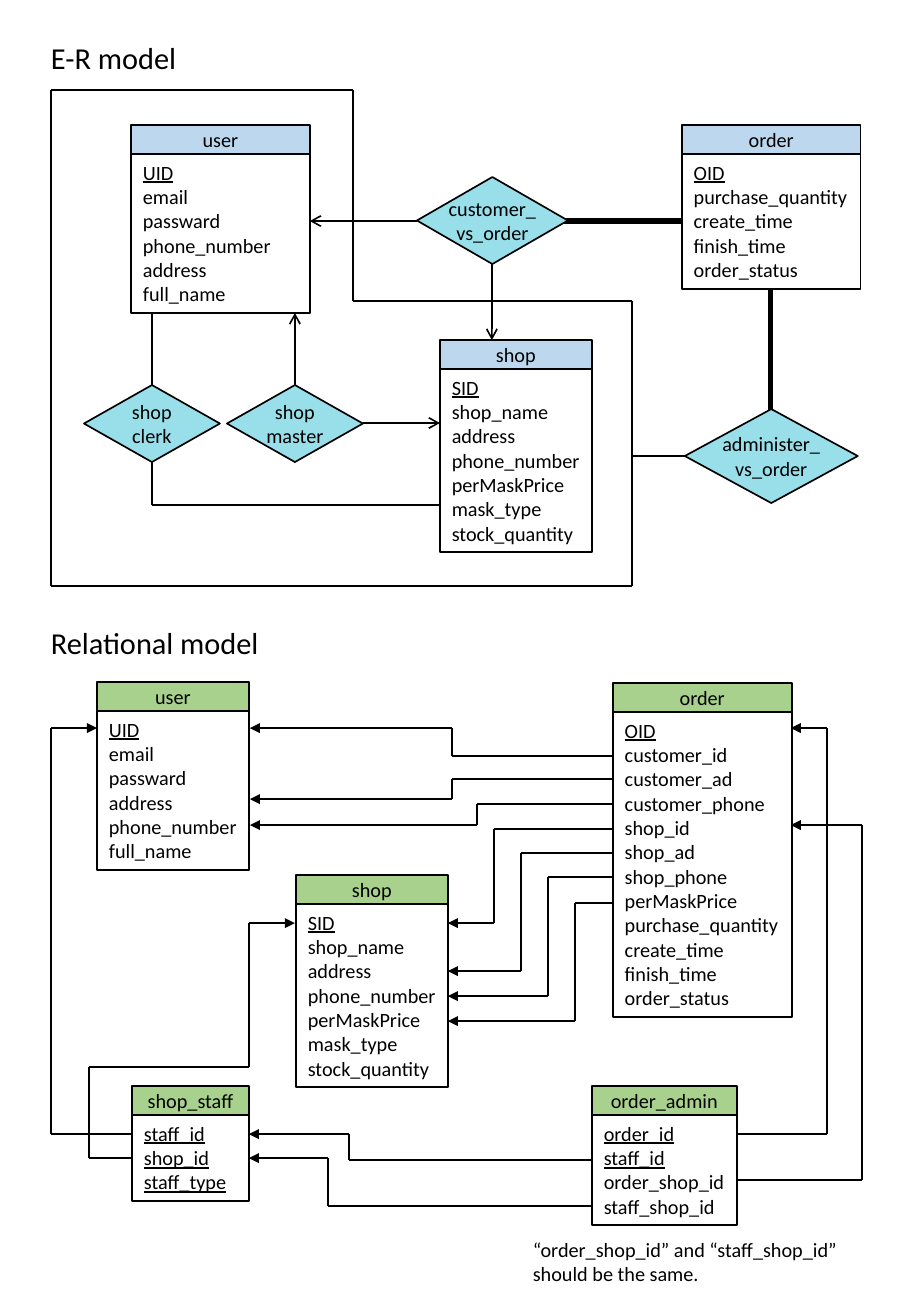
import pptx
import pptx.util
import pptx.dml.color
import pptx.enum.shapes
import pptx.enum.text
import pptx.oxml.ns
import lxml.etree
import itertools

SCALE = 914400 / 121.5
FONT = "Calibri"
BLACK, WHITE = "000000", "FFFFFF"
BLUE, GREEN, AQUA = "BDD7EE", "A9D18E", "98DFEA"
HEAD = 29
KIND = pptx.enum.shapes.MSO_SHAPE
ALIGN = pptx.enum.text.PP_ALIGN
ANCHOR = pptx.enum.text.MSO_ANCHOR


def px(count):
    return pptx.util.Emu(round(count * SCALE))


def tint(code):
    return pptx.dml.color.RGBColor.from_string(code)


def write(shape, lines, size=12, align=ALIGN.LEFT, anchor=ANCHOR.TOP, wrap=True, keys=0, grow=False):
    frame = shape.text_frame
    frame.word_wrap = wrap
    frame.vertical_anchor = anchor
    if grow:
        frame.auto_size = pptx.enum.text.MSO_AUTO_SIZE.SHAPE_TO_FIT_TEXT
    frame.text = "\n".join(lines)
    for row, para in enumerate(frame.paragraphs):
        para.alignment = align
        for run in para.runs:
            font = run.font
            font.name, font.size = FONT, pptx.util.Pt(size)
            font.color.rgb = tint(BLACK)
            if row < keys:
                font.underline = True


class Board:
    def __init__(self, slide, left, top):
        self.shapes, self.left, self.top = slide.shapes, left, top

    def spot(self, x, y):
        return px(self.left + x), px(self.top + y)

    def form(self, kind, x, y, width, height, fill):
        shape = self.shapes.add_shape(kind, *self.spot(x, y), px(width), px(height))
        shape.shadow.inherit = False
        shape.fill.solid()
        shape.fill.fore_color.rgb = tint(fill)
        shape.line.color.rgb = tint(BLACK)
        shape.line.width = pptx.util.Pt(1)
        return shape

    def card(self, x, y, width, fill, name, fields, keys=1):
        rows = fields.split()
        head = self.form(KIND.RECTANGLE, x, y, width, HEAD, fill)
        write(head, [name], align=ALIGN.CENTER, anchor=ANCHOR.MIDDLE)
        body = self.form(KIND.RECTANGLE, x, y + HEAD, width, len(rows) * 122 // 5 + 13, WHITE)
        write(body, rows, keys=keys)

    def diamond(self, x, y, width, height, label):
        shape = self.form(KIND.DIAMOND, x, y, width, height, AQUA)
        write(shape, [label], align=ALIGN.CENTER, anchor=ANCHOR.MIDDLE, wrap=False)

    def note(self, x, y, width, height, lines, size):
        text = self.shapes.add_textbox(*self.spot(x, y), px(width), px(height))
        write(text, lines, size=size, wrap=False, grow=True)

    def wire(self, *points, tip=None, weight=1):
        for start, end in itertools.pairwise(points):
            line = self.shapes.add_connector(
                pptx.enum.shapes.MSO_CONNECTOR.STRAIGHT, *self.spot(*start), *self.spot(*end))
            line.line.color.rgb = tint(BLACK)
            line.line.width = pptx.util.Pt(weight)
            props = line._element.spPr
            lxml.etree.SubElement(props, pptx.oxml.ns.qn("a:effectLst"))
            if tip and end == points[-1]:
                lxml.etree.SubElement(line.line._get_or_add_ln(), pptx.oxml.ns.qn("a:tailEnd"), type=tip)

    def elbow(self, x, y, bend, far, end):
        self.wire((x, y), (bend, y), (bend, far), (end, far), tip="triangle")


def draw_er(slide, left, top):
    board = Board(slide, left, top)
    board.note(39, 33, 152, 49, ["E-R model"], 18)

    board.wire((51, 90), (353, 90), (353, 301), (632, 301), (632, 586), (51, 586), (51, 90))
    board.wire((685, 456), (632, 456))
    board.wire((152, 313), (152, 385))
    board.wire((152, 462), (152, 505), (440, 505))
    for start, end in [((492, 264), (492, 340)), ((363, 423), (440, 423)),
                       ((295, 385), (295, 313)), ((417, 221), (310, 221))]:
        board.wire(start, end, tip="arrow")
    for start, end in [((771, 423), (771, 288)), ((683, 221), (544, 221))]:
        board.wire(start, end, weight=3)

    board.card(131, 125, 179, BLUE, "user", "UID email passward phone_number address full_name")
    board.card(440, 340, 152, BLUE, "shop",
               "SID shop_name address phone_number perMaskPrice mask_type stock_quantity")
    board.card(682, 125, 179, BLUE, "order",
               "OID purchase_quantity create_time finish_time order_status")

    board.diamond(84, 385, 136, 77, "shop\vclerk")
    board.diamond(227, 385, 136, 77, "shop\vmaster")
    board.diamond(417, 177, 151, 87, "customer_\vvs_order")
    board.diamond(685, 409, 173, 94, "administer_\vvs_order")


def draw_tables(slide, left, top):
    board = Board(slide, left, top)
    board.note(39, 18, 234, 49, ["Relational model"], 18)

    board.card(97, 82, 152, GREEN, "user", "UID email passward address phone_number full_name")
    board.card(613, 83, 179, GREEN, "order",
               "OID customer_id customer_ad customer_phone shop_id shop_ad shop_phone "
               "perMaskPrice purchase_quantity create_time finish_time order_status")
    board.card(132, 486, 117, GREEN, "shop_staff", "staff_id shop_id staff_type", keys=3)
    board.card(296, 275, 152, GREEN, "shop",
               "SID shop_name address phone_number perMaskPrice mask_type stock_quantity")
    board.card(592, 486, 145, GREEN, "order_admin",
               "order_id staff_id order_shop_id staff_shop_id", keys=2)

    for y, bend, far in [(156, 452, 128), (179, 452, 199), (204, 477, 225)]:
        board.elbow(613, y, bend, far, 250)
    for y, bend, far in [(229, 494, 323), (253, 521, 371), (277, 548, 396), (303, 575, 421)]:
        board.elbow(613, y, bend, far, 448)
    for y, bend, far in [(560, 349, 534), (606, 328, 558)]:
        board.elbow(592, y, bend, far, 249)
    for y, bend, far in [(534, 827, 128), (580, 862, 225)]:
        board.elbow(737, y, bend, far, 791)
    board.elbow(132, 534, 51, 128, 97)
    board.wire((133, 558), (89, 558), (89, 467), (249, 467), (249, 323), (295, 323), tip="triangle")

    board.note(521, 631, 332, 61,
               ["“order_shop_id” and “staff_shop_id”", "should be the same."], 12)


deck = pptx.Presentation()
deck.slide_width = pptx.util.Inches(7.5)
deck.slide_height = pptx.util.Inches(10.83)
page = deck.slides.add_slide(deck.slide_layouts[6])
draw_er(page, 0, 0)
draw_tables(page, 0, 600)
deck.save("out.pptx")
